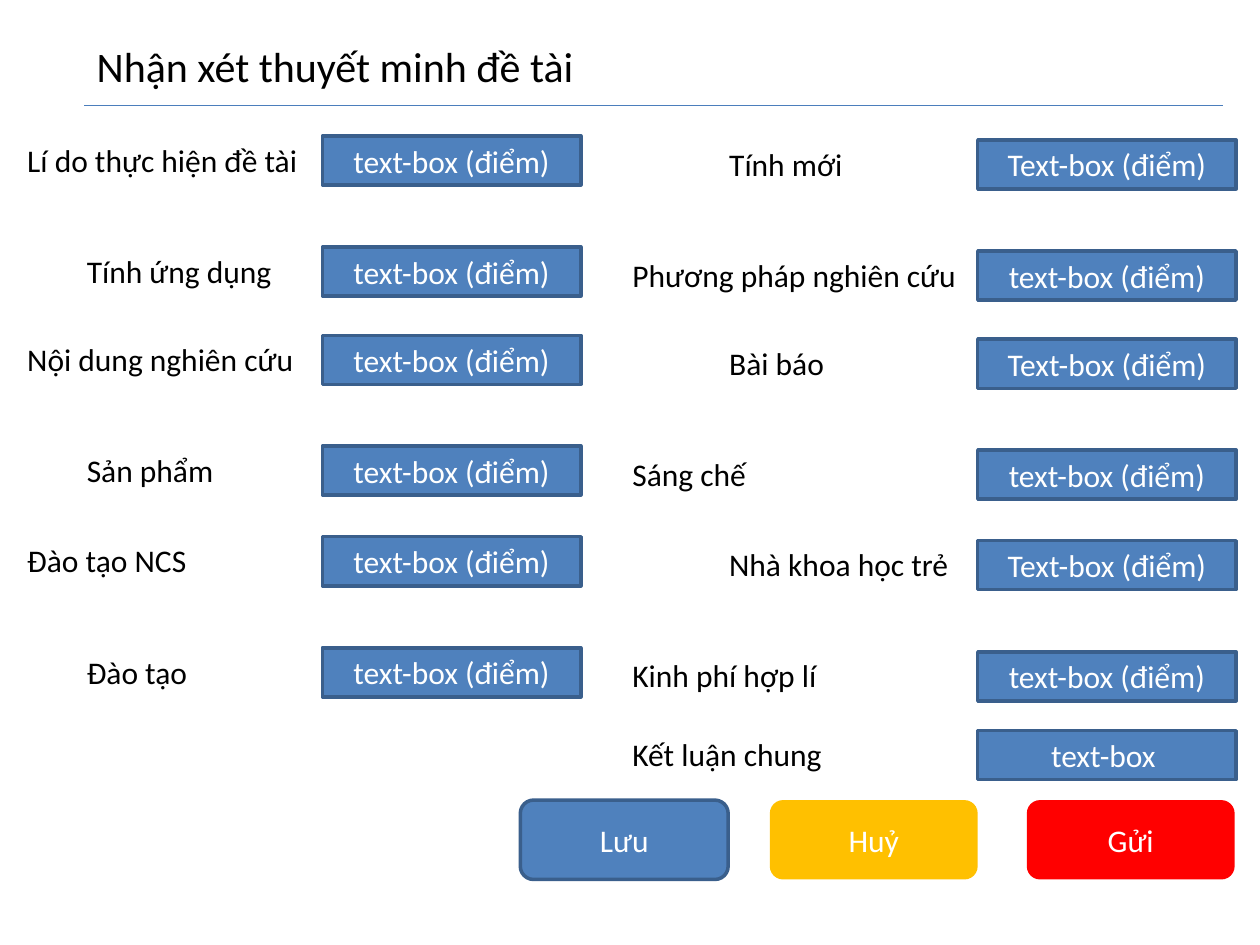
import pptx
import pptx.dml.color
import pptx.enum.shapes
import pptx.enum.text
import pptx.oxml.ns
import pptx.util
from lxml import etree

Cm = pptx.util.Cm
Pt = pptx.util.Pt
SHAPES = pptx.enum.shapes.MSO_SHAPE

COLORS = {
    "text": "000000",
    "white": "FFFFFF",
    "blue": "4F81BD",
    "border": "3A5F8C",
    "rule": "4B7EBC",
    "yellow": "FFC000",
    "red": "FF0000",
}

ROW_TOPS = [2.74, 4.98, 6.76, 8.99, 10.82, 13.06]
CONCLUSION_TOP = 14.73
RIGHT_OFFSET = 0.08
LEFT_COLUMN = {"box": 6.5, "label_end": 7.3}
RIGHT_COLUMN = {"box": 19.71, "label_end": 20.25}
LEFT_INDENTS = [0.3, 1.5]
RIGHT_INDENTS = [14.45, 12.5]

CRITERIA = [
    ("Lí do thực hiện đề tài", "Tính mới"),
    ("Tính ứng dụng", "Phương pháp nghiên cứu"),
    ("Nội dung nghiên cứu", "Bài báo"),
    ("Sản phẩm", "Sáng chế"),
    ("Đào tạo NCS", "Nhà khoa học trẻ"),
    ("Đào tạo", "Kinh phí hợp lí"),
]
SCORE = "text-box (điểm)"
RIGHT_SCORES = ["Text-box (điểm)", SCORE]

BUTTONS = [
    ("Lưu", 10.49, "blue", "border"),
    ("Huỷ", 15.52, "yellow", None),
    ("Gửi", 20.7, "red", None),
]


def rgb(name):
    return pptx.dml.color.RGBColor.from_string(COLORS[name])


def write_text(shape, text, size, color):
    shape.text_frame.word_wrap = True
    paragraph = shape.text_frame.paragraphs[0]
    paragraph.text = text
    paragraph.font.name = "Calibri"
    paragraph.font.size = Pt(size)
    paragraph.font.color.rgb = rgb(color)
    return paragraph


def add_label(slide, text, left, top, width, height=1.02, size=18):
    label = slide.shapes.add_textbox(Cm(left), Cm(top), Cm(width), Cm(height))
    write_text(label, text, size, "text")
    label.text_frame.auto_size = pptx.enum.text.MSO_AUTO_SIZE.SHAPE_TO_FIT_TEXT


def add_box(slide, kind, text, left, top, width, height, fill="blue", border="border"):
    shape = slide.shapes.add_shape(kind, Cm(left), Cm(top), Cm(width), Cm(height))
    shape.shadow.inherit = False
    shape.fill.solid()
    shape.fill.fore_color.rgb = rgb(fill)
    if border:
        shape.line.color.rgb = rgb(border)
        shape.line.width = Pt(2)
    else:
        shape.line.fill.background()
    paragraph = write_text(shape, text, 18, "white")
    paragraph.alignment = pptx.enum.text.PP_ALIGN.CENTER
    shape.text_frame.vertical_anchor = pptx.enum.text.MSO_ANCHOR.MIDDLE


def add_field(slide, column, label, score, indent, top):
    add_box(slide, SHAPES.RECTANGLE, score, column["box"], top, 5.21, 0.99)
    add_label(slide, label, indent, top - 0.03, column["label_end"] - indent)


def add_rule(slide, left, right, top):
    rule = slide.shapes.add_connector(
        pptx.enum.shapes.MSO_CONNECTOR.STRAIGHT, Cm(left), Cm(top), Cm(right), Cm(top)
    )
    rule.line.color.rgb = rgb("rule")
    rule.line.width = Pt(0.75)
    properties = rule._element.spPr
    etree.SubElement(properties, pptx.oxml.ns.qn("a:effectLst"))


def main():
    presentation = pptx.Presentation()
    presentation.slide_width = Cm(25.4)
    presentation.slide_height = Cm(19.05)
    slide = presentation.slides.add_slide(presentation.slide_layouts[6])

    add_label(slide, "Nhận xét thuyết minh đề tài", 1.7, 0.69, 22.96, 1.27, 24)
    add_rule(slide, 1.7, 24.66, 2.13)

    for row, (top, (left_label, right_label)) in enumerate(zip(ROW_TOPS, CRITERIA)):
        step = row % 2
        add_field(slide, LEFT_COLUMN, left_label, SCORE, LEFT_INDENTS[step], top)
        add_field(slide, RIGHT_COLUMN, right_label, RIGHT_SCORES[step],
                  RIGHT_INDENTS[step], top + RIGHT_OFFSET)
    add_field(slide, RIGHT_COLUMN, "Kết luận chung", "text-box ",
              RIGHT_INDENTS[1], CONCLUSION_TOP)

    for text, left, fill, border in BUTTONS:
        add_box(slide, SHAPES.ROUNDED_RECTANGLE, text, left, 16.13, 4.19, 1.6, fill, border)

    presentation.save("out.pptx")


if __name__ == "__main__":
    main()
